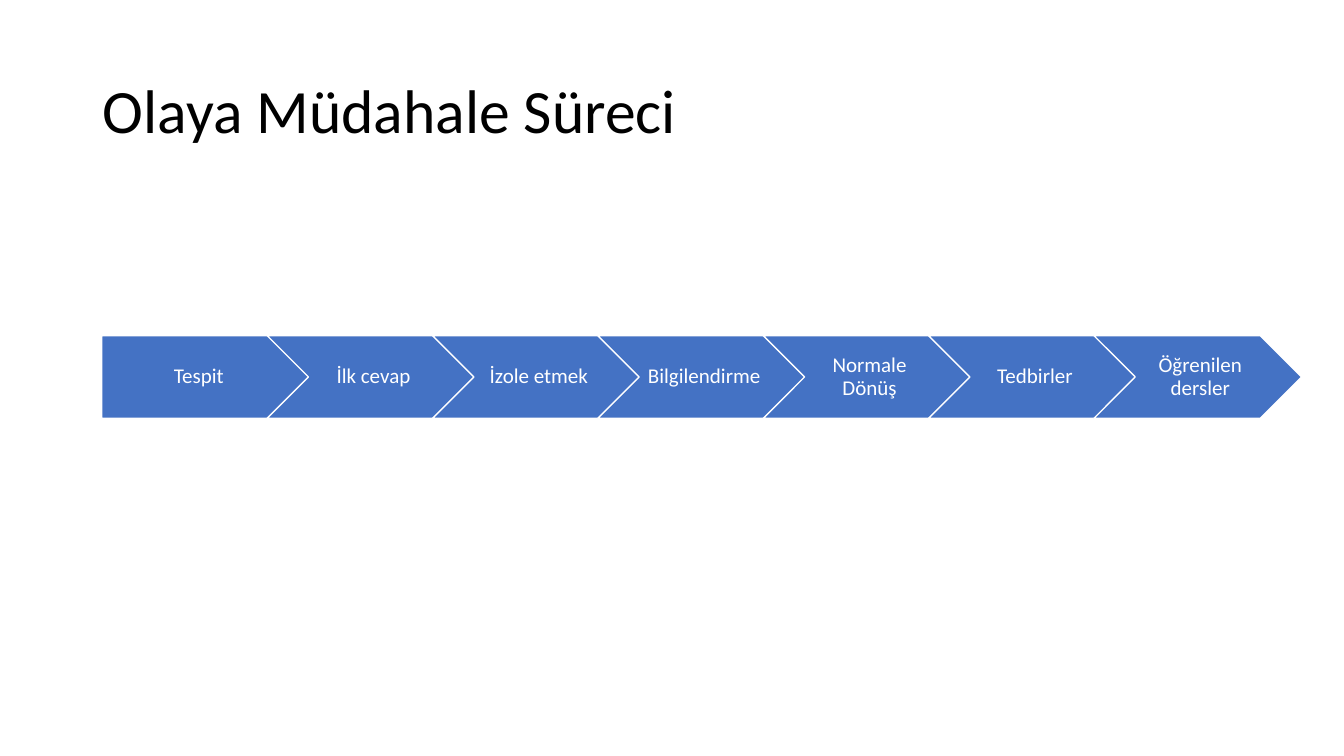
from pptx import Presentation
from pptx.dml.color import RGBColor
from pptx.enum.shapes import MSO_SHAPE
from pptx.enum.text import MSO_ANCHOR, PP_ALIGN
from pptx.util import Inches, Pt

BLACK = RGBColor(0x00, 0x00, 0x00)
WHITE = RGBColor(0xFF, 0xFF, 0xFF)
BLUE = RGBColor(0x44, 0x72, 0xC4)
FONT = "Calibri"

STEPS = [
    "Tespit",
    "İlk cevap",
    "İzole etmek",
    "Bilgilendirme",
    "Normale Dönüş",
    "Tedbirler",
    "Öğrenilen dersler",
]
STEP_LEFT, STEP_TOP = 1.01, 3.33
STEP_WIDTH, STEP_HEIGHT = 2.06, 0.82
STEP_PITCH = 1.64


def format_text(text_frame, size, color, alignment):
    text_frame.word_wrap = True
    text_frame.vertical_anchor = MSO_ANCHOR.MIDDLE
    for paragraph in text_frame.paragraphs:
        paragraph.alignment = alignment
        paragraph.line_spacing = 0.9
        for run in paragraph.runs:
            run.font.name = FONT
            run.font.size = Pt(size)
            run.font.color.rgb = color


def set_title(slide, text):
    title = slide.shapes.title
    title.left, title.top = Inches(0.92), Inches(0.4)
    title.width, title.height = Inches(11.5), Inches(1.45)
    title.text_frame.text = text
    format_text(title.text_frame, 44, BLACK, PP_ALIGN.LEFT)


def add_step(slide, index, text):
    is_first = index == 0
    shape = slide.shapes.add_shape(
        MSO_SHAPE.PENTAGON if is_first else MSO_SHAPE.CHEVRON,
        Inches(STEP_LEFT + index * STEP_PITCH),
        Inches(STEP_TOP),
        Inches(STEP_WIDTH),
        Inches(STEP_HEIGHT),
    )
    shape.shadow.inherit = False
    shape.fill.solid()
    shape.fill.fore_color.rgb = BLUE
    shape.line.color.rgb = WHITE
    shape.line.width = Pt(1)
    text_frame = shape.text_frame
    text_frame.text = text
    text_frame.margin_left = Inches(0.09 if is_first else 0.07)
    text_frame.margin_right = Inches(0.02)
    text_frame.margin_top = text_frame.margin_bottom = Inches(0.04)
    format_text(text_frame, 15, WHITE, PP_ALIGN.CENTER)


def main():
    presentation = Presentation()
    presentation.slide_width = Inches(13.33)
    presentation.slide_height = Inches(7.5)
    slide = presentation.slides.add_slide(presentation.slide_layouts[5])
    set_title(slide, "Olaya Müdahale Süreci")
    for index, text in enumerate(STEPS):
        add_step(slide, index, text)
    presentation.save("out.pptx")


main()
